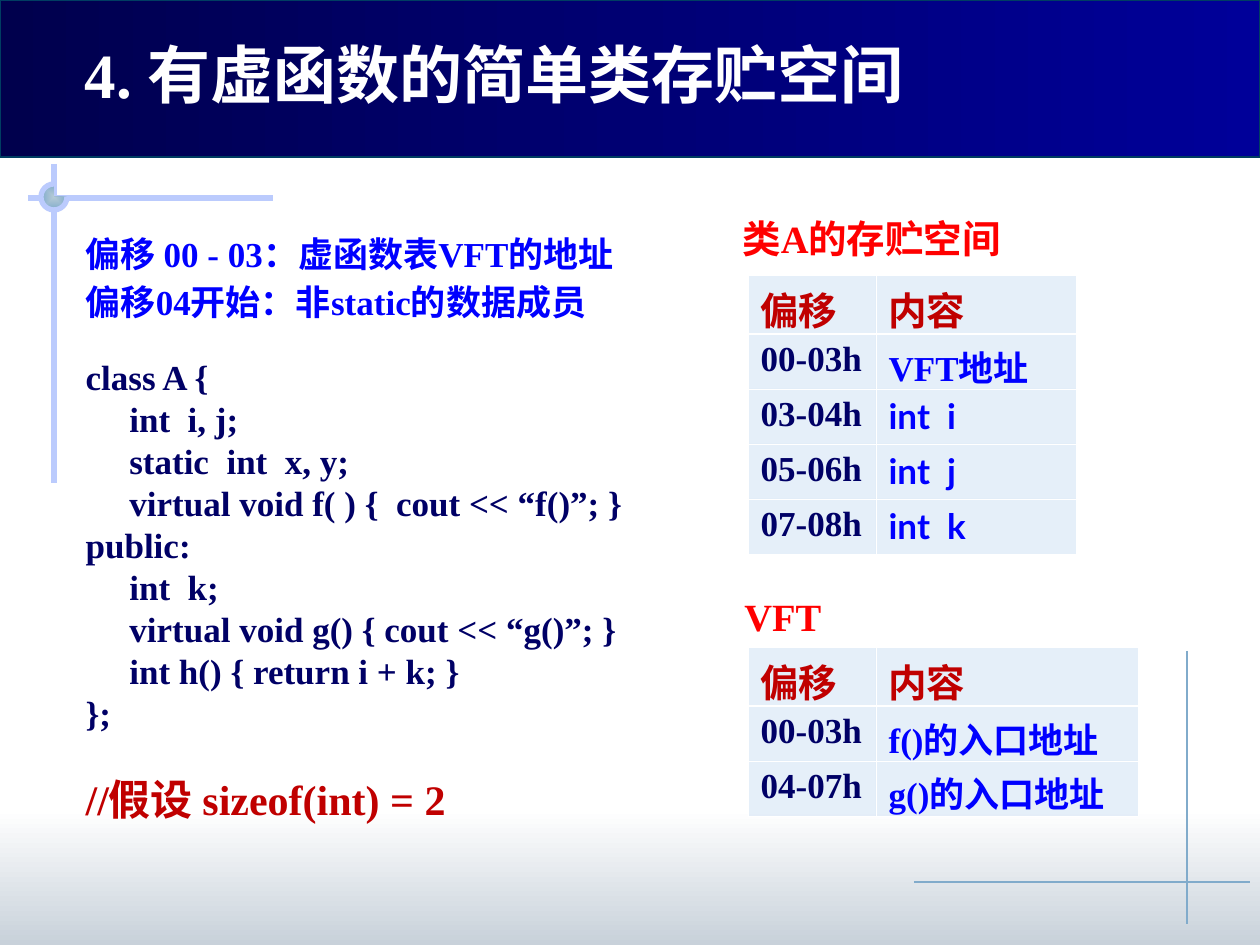
"""Build the slide on the storage layout of a simple class with virtual functions."""
from lxml.etree import SubElement as Sub
from pptx import Presentation
from pptx.dml.color import RGBColor as RGB
from pptx.enum.shapes import MSO_CONNECTOR as Link, MSO_SHAPE as Form
from pptx.enum.text import MSO_ANCHOR as Anchor, PP_ALIGN as Align
from pptx.oxml.ns import qn
from pptx.util import Pt

PX = 914400 / 126
WHITE, RED, DARK = RGB(255, 255, 255), RGB(255, 0, 0), RGB(0xC0, 0, 0)
BLUE, INK, NAVY = RGB(0, 0, 255), RGB(0, 0, 0x66), RGB(0, 0, 0x4D)
ROYAL, EDGE, MIST = RGB(0, 0, 0x99), RGB(0, 0x3D, 0x62), RGB(0xC8, 0xD1, 0xDA)
LILAC, STEEL = RGB(0xBB, 0xCB, 0xFD), RGB(0x81, 0xAB, 0xCB)
PALE, SKY = RGB(0xB6, 0xCB, 0xD6), RGB(0x9A, 0xC0, 0xEA)
SERIF, SANS, HAN = "Times New Roman", "Lato", "Noto Sans CJK JP"

TITLE = "4. 有虚函数的简单类存贮空间"
NOTES = ["偏移 00 - 03：虚函数表VFT的地址", "偏移04开始：非static的数据成员"]
CODE = [
    "class A {",
    "     int  i, j;",
    "     static  int  x, y;",
    "     virtual void f( ) {  cout << “f()”; }",
    "public:",
    "     int  k;",
    "     virtual void g() { cout << “g()”; }",
    "     int h() { return i + k; }",
    "};",
]
REMARK = [("//", SERIF), ("假设 ", HAN), ("sizeof(int) = 2", SERIF)]
HEADS = [
    (730, 218, [("类", HAN), ("A", SERIF), ("的存贮空间", HAN)]),
    (732, 596, [("VFT", SERIF)]),
]
TABLES = [
    (275, 200, [("偏移", "内容"), ("00-03h", "VFT地址"), ("03-04h", "int  i"),
                ("05-06h", "int  j"), ("07-08h", "int  k")]),
    (647, 262, [("偏移", "内容"), ("00-03h", "f()的入口地址"),
                ("04-07h", "g()的入口地址")]),
]
LINES = [
    (1187, 651, 1187, 924, STEEL, 0.75),
    (273, 198, 28, 198, LILAC, 3),
    (54, 164, 54, 483, LILAC, 3),
    (914, 882, 1250, 882, STEEL, 0.75),
]
LEFT, KEY, TOP_ROW, ROW = 748, 128, 59, 55


def px(*nums):
    return [round(n * PX) for n in nums]


def place(shape, *box):
    shape.left, shape.top, shape.width, shape.height = px(*box)


def style(font, size, color, name=SERIF):
    font.size, font.bold, font.name = Pt(size), True, name
    font.color.rgb = color


def write(para, runs, size, color, lead=1.0, gap=0):
    para.alignment, para.line_spacing = Align.LEFT, lead
    para.space_before, para.space_after = Pt(gap), Pt(0)
    for text, name in runs:
        run = para.add_run()
        run.text = text
        style(run.font, size, color, name)


def plain(para):
    props = para._p.get_or_add_pPr()
    props.set("marL", "0")
    props.set("indent", "0")
    Sub(props, qn("a:buNone"))


def blend(fill, first, last, angle=0):
    fill.gradient()
    fill.gradient_angle = angle
    for stop, color in zip(fill.gradient_stops, (first, last)):
        stop.color.rgb = color


def draw(shapes, form, *box):
    shape = shapes.add_shape(form, *px(*box))
    shape.shadow.inherit = False
    shape.line.fill.background()
    return shape


def rule(shapes, x1, y1, x2, y2, color, width):
    line = shapes.add_connector(Link.STRAIGHT, *px(x1, y1, x2, y2))
    line.line.color.rgb, line.line.width = color, Pt(width)
    Sub(line._element.spPr, qn("a:effectLst"))


def scene(shapes):
    blend(draw(shapes, Form.RECTANGLE, 0, 809, 1260, 136).fill, WHITE, MIST, 270)
    for line in LINES:
        rule(shapes, *line)
    knob = draw(shapes, Form.PIE, 41, 184, 26, 26)
    blend(knob.fill, PALE, STEEL)
    grad = knob._element.spPr.find(qn("a:gradFill"))
    grad.remove(grad.find(qn("a:lin")))
    mid = Sub(Sub(grad, qn("a:path"), path="rect"), qn("a:fillToRect"))
    for side in "ltrb":
        mid.set(side, "50000")
    ring = draw(shapes, Form.ARC, 41, 184, 26, 26)
    ring.adjustments[0], ring.adjustments[1] = 0, 162
    ring.fill.background()
    ring.line.color.rgb, ring.line.width = LILAC, Pt(3)
    band = draw(shapes, Form.RECTANGLE, 0, 0, 1260, 157)
    blend(band.fill, NAVY, ROYAL)
    band.line.color.rgb, band.line.width = EDGE, Pt(0.75)


def paint(cell, row):
    cell.fill.solid()
    cell.fill.fore_color.rgb = SKY
    props = cell._tc.get_or_add_tcPr()
    Sub(next(props.iter(qn("a:srgbClr"))), qn("a:alpha"), val="25000")
    for spot, side in enumerate("LRTB"):
        thick = (row, side) in ((0, "B"), (1, "T"))
        edge = Sub(props, qn("a:ln" + side), w=str(Pt(1.47 if thick else 0.45)))
        Sub(Sub(edge, qn("a:solidFill")), qn("a:srgbClr"), val=str(WHITE))
        props.insert(spot, edge)


def grid(shapes, top, width, rows):
    high = TOP_ROW + ROW * (len(rows) - 1)
    table = shapes.add_table(len(rows), 2, *px(LEFT, top, KEY + width, high)).table
    table.first_row = table.horz_banding = False
    for col, wide in zip(table.columns, px(KEY, width)):
        col.width = wide
    for r, texts in enumerate(rows):
        table.rows[r].height = px(ROW if r else TOP_ROW)[0]
        for c, text in enumerate(texts):
            cell = table.cell(r, c)
            cell.margin_bottom = 0
            name = SANS if text.startswith("int") else SERIF
            color = (INK, BLUE)[c] if r else DARK
            write(cell.text_frame.paragraphs[0], [(text, name)], 20 if r else 22, color)
            paint(cell, r)


def main():
    deck = Presentation()
    deck.slide_width, deck.slide_height = px(1260, 945)
    slide = deck.slides.add_slide(deck.slide_layouts[1])
    shapes = slide.shapes
    title, body = slide.placeholders
    scene(shapes)
    for holder, box in ((body, (73, 220, 587, 612)), (title, (72, 44, 874, 73))):
        place(holder, *box)
        holder.text_frame.vertical_anchor = Anchor.TOP
        shapes._spTree.append(holder._element)
    write(title.text_frame.paragraphs[0], [(TITLE, SERIF)], 36, WHITE, 0.8)

    items = [([(text, SERIF)], 20, BLUE, 1.14, 0) for text in NOTES]
    items += [([(text, SERIF)], 20, INK, 1.0, 0 if n else 19) for n, text in enumerate(CODE)]
    items.append((REMARK, 24, DARK, 1.0, 23))
    frame = body.text_frame
    for n, item in enumerate(items):
        para = frame.add_paragraph() if n else frame.paragraphs[0]
        write(para, *item)
        plain(para)

    for left, top, runs in HEADS:
        box = shapes.add_textbox(*px(left, top, 318, 50)).text_frame
        box.word_wrap = True
        write(box.paragraphs[0], runs, 22, RED, 0.8)
    for table in TABLES:
        grid(shapes, *table)
    deck.save("out.pptx")


if __name__ == "__main__":
    main()
